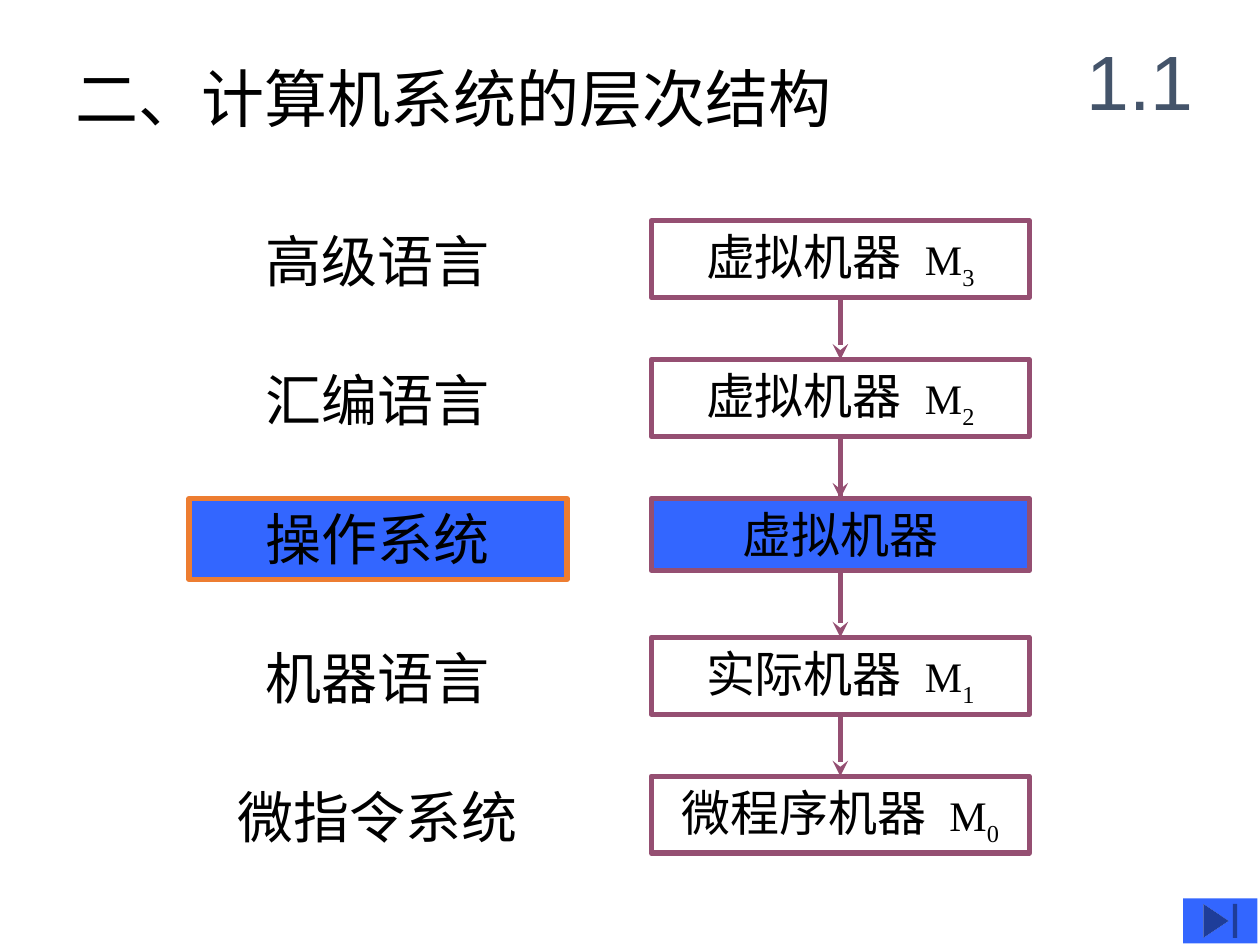
from pptx import Presentation
from pptx.dml.color import RGBColor
from pptx.enum.shapes import MSO_CONNECTOR, MSO_SHAPE
from pptx.enum.text import MSO_ANCHOR, PP_ALIGN
from pptx.oxml.ns import qn
from pptx.util import Cm, Pt
from lxml.etree import SubElement

HUES = {"ink": "000000", "slate": "44546A", "plum": "954F72",
        "blue": "3366FF", "orange": "ED7D31"}
SANS = "Noto Sans CJK SC"
SERIF = "Times New Roman"
TITLE = "二、计算机系统的层次结构"
PART = "1.1"
LEVELS = [
    ("高级语言", "虚拟机器", "3"),
    ("汇编语言", "虚拟机器", "2"),
    ("操作系统", "虚拟机器", ""),
    ("机器语言", "实际机器", "1"),
    ("微指令系统", "微程序机器", "0"),
]
LINKS = [(1, 3), (1, 2), (0, 1), (3, 4)]

LEFT, RIGHT, WIDTH = 3.81, 13.13, 7.62
TOP, PITCH, TALL = 4.45, 2.8, 1.6
FRAME = {"word_wrap": True, "vertical_anchor": MSO_ANCHOR.TOP}
CENTRE = {"alignment": PP_ALIGN.CENTER}


def apply(item, style):
    for key, value in style.items():
        setattr(item, key, value)


def tint(part, hue):
    part.solid()
    part.fore_color.rgb = RGBColor.from_string(HUES[hue])


def write(shape, runs, style, hue="ink", frame=FRAME):
    apply(shape.text_frame, frame)
    para = shape.text_frame.paragraphs[0]
    apply(para, style)
    for text, size, face, extra in runs:
        run = para.add_run()
        run.text = text
        apply(run.font, {"size": Pt(size), "name": face})
        tint(run.font.fill, hue)
        props = run.font._element
        SubElement(props, qn("a:ea")).set("typeface", SANS)
        for key, value in extra.items():
            props.set(key, value)


def box(slide, left, top, high, line=None, fill=None):
    area = Cm(left), Cm(top), Cm(WIDTH), Cm(high)
    if not line:
        return slide.shapes.add_textbox(*area)
    shape = slide.shapes.add_shape(MSO_SHAPE.RECTANGLE, *area)
    shape.shadow.inherit = False
    tint(shape.line.fill, line)
    shape.line.width = Pt(3)
    if fill:
        tint(shape.fill, fill)
    else:
        shape.fill.background()
    return shape


def arrow(slide, start, end):
    mid = Cm(RIGHT + WIDTH / 2)
    link = slide.shapes.add_connector(
        MSO_CONNECTOR.STRAIGHT, mid, Cm(start), mid, Cm(end))
    tint(link.line.fill, "plum")
    link.line.width = Pt(3)
    SubElement(link.line._get_or_add_ln(), qn("a:tailEnd")).set("type", "stealth")
    SubElement(link._element.spPr, qn("a:effectLst"))


def main():
    deck = Presentation()
    apply(deck, {"slide_width": Cm(25.4), "slide_height": Cm(19.05)})
    slide = deck.slides.add_slide(deck.slide_layouts[6])
    tops = [TOP + PITCH * row for row in range(len(LEVELS))]

    for start, end in LINKS:
        arrow(slide, tops[start] + TALL, tops[end])

    head = slide.shapes.add_textbox(Cm(1.27), Cm(1.07), Cm(21.59), Cm(2.54))
    write(head, [(TITLE, 36, SERIF, {})], {})

    for top, (label, name, index) in zip(tops, LEVELS):
        pair = ("orange", "blue") if not index else ()
        write(box(slide, LEFT, top, 1.63, *pair), [(label, 32, SANS, {})], CENTRE)
        runs = [(name, 28, SANS, {})]
        if index:
            runs += [(" ", 28, SANS, {"spc": "700"}),
                     ("M", 24, SERIF, {}),
                     (index, 24, SERIF, {"baseline": "-25000"})]
        high, fill = (1.55, None) if index else (1.45, "blue")
        write(box(slide, RIGHT, top, high, "plum", fill), runs, CENTRE)

    part = slide.shapes.add_textbox(Cm(21.39), Cm(0.43), Cm(3.18), Cm(2.34))
    write(part, [(PART, 44, "Arial", {})], CENTRE, "slate",
          {"word_wrap": True, "vertical_anchor": MSO_ANCHOR.MIDDLE})

    button = slide.shapes.add_shape(
        MSO_SHAPE.ACTION_BUTTON_END, Cm(23.85), Cm(18.11), Cm(1.5), Cm(0.91))
    button.shadow.inherit = False
    tint(button.fill, "blue")
    button.line.fill.background()
    deck.save("out.pptx")


if __name__ == "__main__":
    main()
